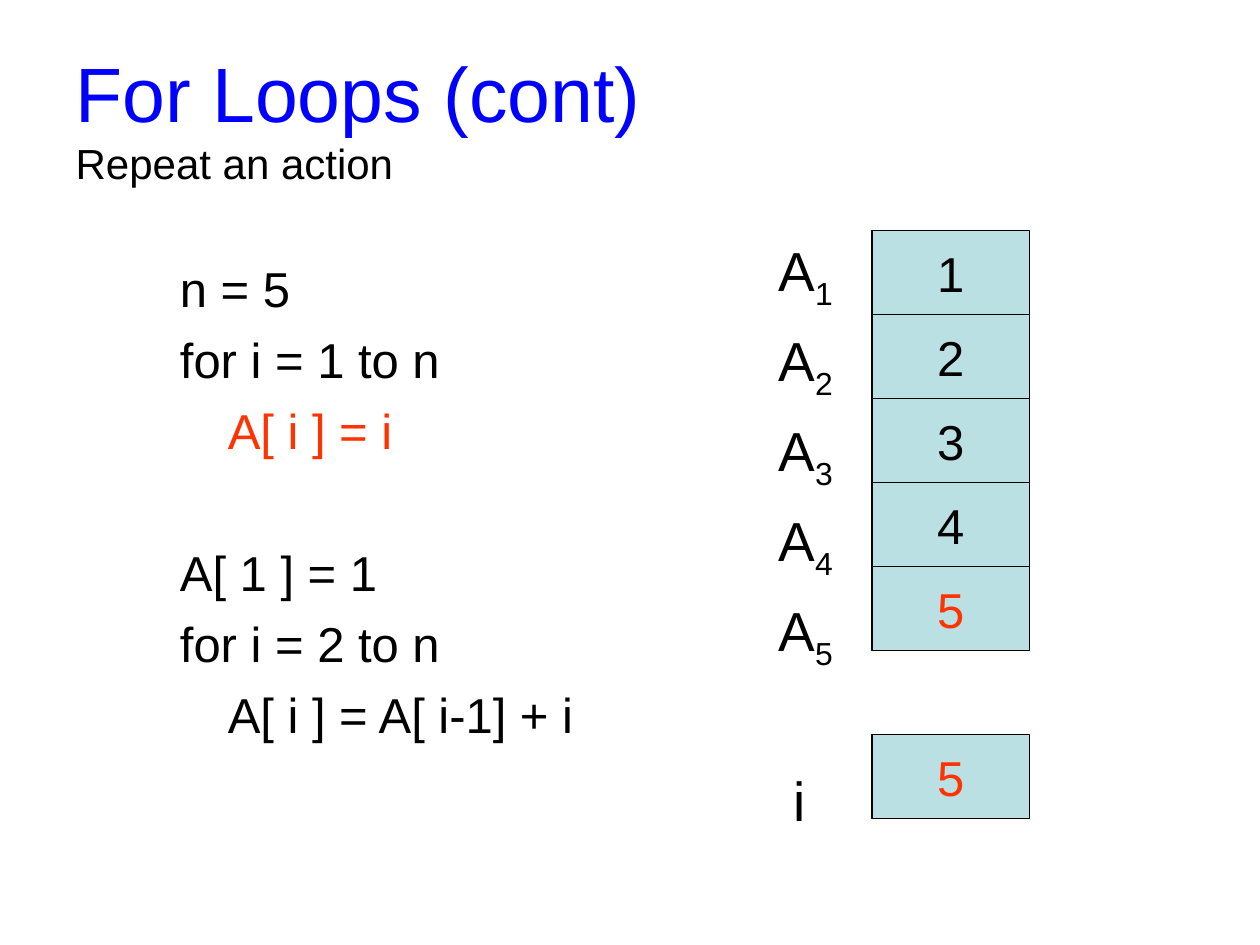
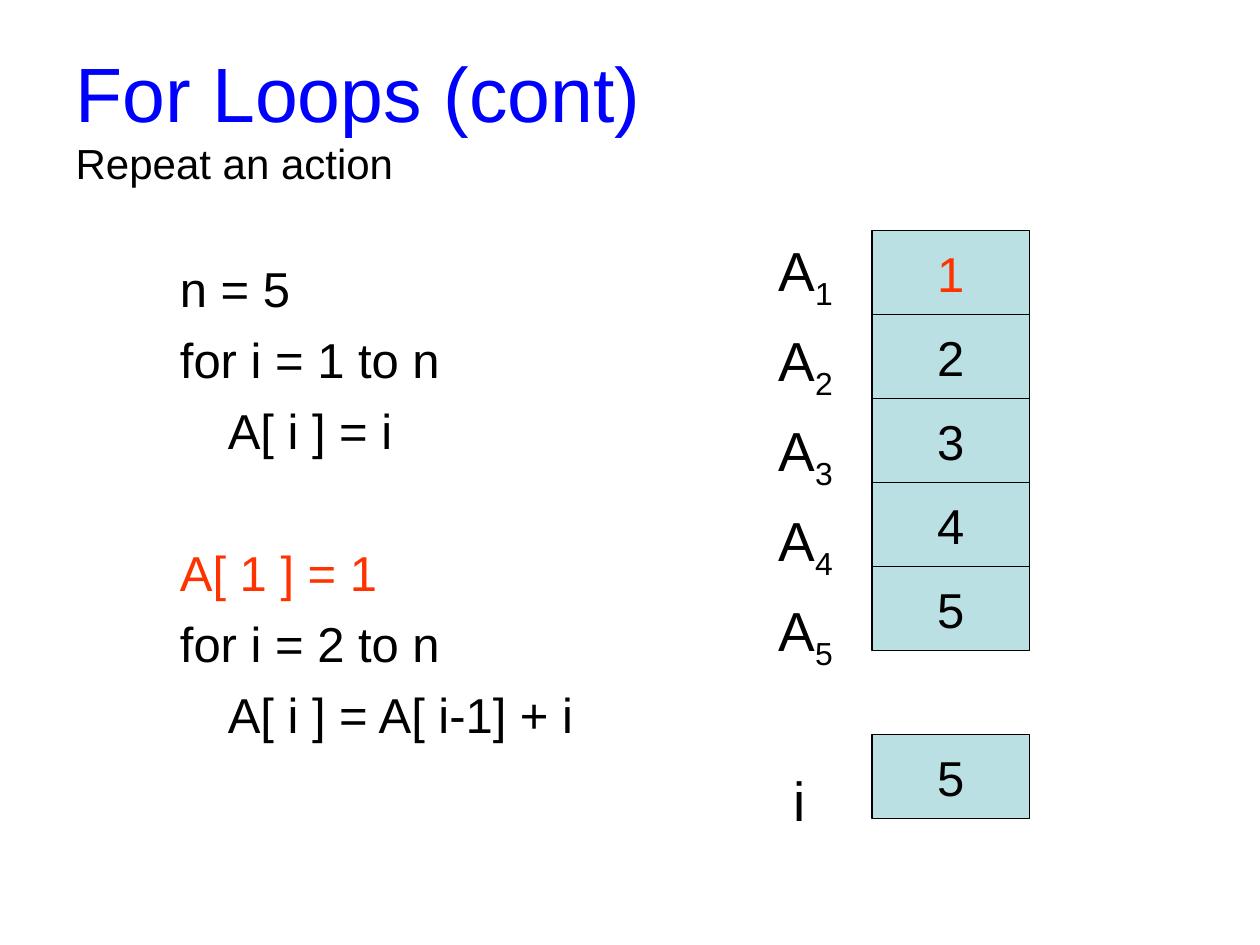
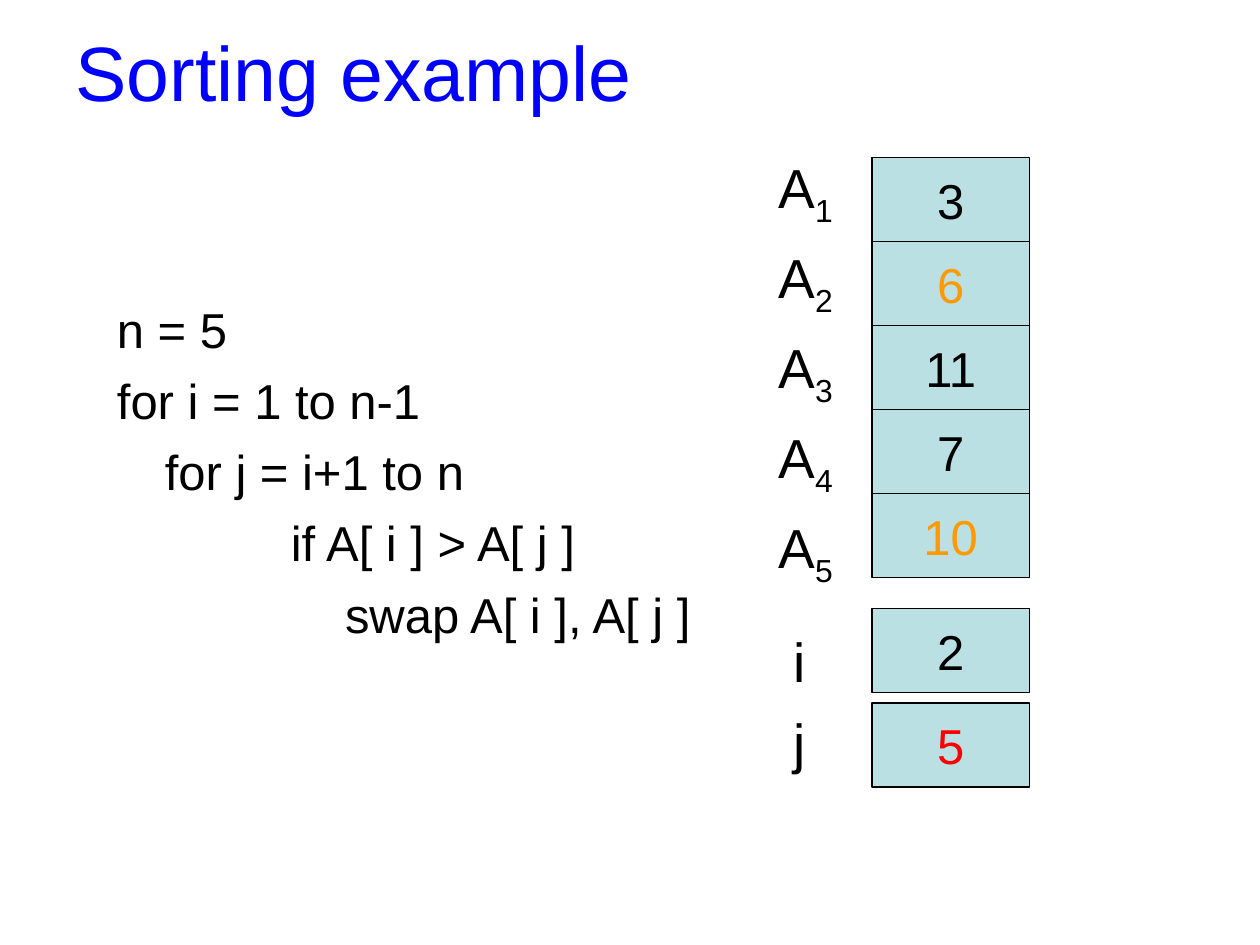
"""Build three slides that trace loops over an array beside their pseudocode."""
from dataclasses import dataclass, field
from typing import NamedTuple

from pptx import Presentation
from pptx.dml.color import RGBColor
from pptx.enum.shapes import MSO_SHAPE
from pptx.enum.text import MSO_ANCHOR, MSO_AUTO_SIZE, PP_ALIGN
from pptx.util import Inches, Pt

RECT = MSO_SHAPE.RECTANGLE
MIDDLE = MSO_ANCHOR.MIDDLE
NO_FIT = MSO_AUTO_SIZE.NONE
LEFT, CENTER = PP_ALIGN.LEFT, PP_ALIGN.CENTER

BLACK = RGBColor(0x00, 0x00, 0x00)
BLUE = RGBColor(0x00, 0x00, 0xFF)
RED = RGBColor(0xFF, 0x00, 0x00)
VERMILION = RGBColor(0xFF, 0x33, 0x00)
ORANGE = RGBColor(0xFF, 0x99, 0x00)
PALE_TEAL = RGBColor(0xBB, 0xE0, 0xE3)

FONT = "Arial"
TITLE_SIZE, SUBTITLE_SIZE, CODE_SIZE, LABEL_SIZE = 44, 24, 28, 31.4
CODE_GAP, LABEL_GAP = 7, 8.5
CELL_LEFT, CELL_WIDTH, CELL_HEIGHT = 6.92, 1.25, 2 / 3
LABEL_LEFT, LABEL_INDENT = 6.08, 0.12


class Box(NamedTuple):
    """Left, top, width and height in inches."""
    left: float
    top: float
    width: float
    height: float


class CodeLine(NamedTuple):
    """A line of pseudocode, its indent in inches and the space before it."""
    text: str
    indent: float = 0
    gap: float = CODE_GAP


class Cell(NamedTuple):
    """The value in a memory cell and its colour."""
    value: str
    color: RGBColor = BLACK


class Variable(NamedTuple):
    """A loop variable with its cell, cell top and space before its label."""
    name: str
    cell: Cell
    top: float
    gap: float = LABEL_GAP


@dataclass
class LoopSlide:
    """Everything that differs between the slides."""
    title: str
    code: list[CodeLine]
    code_box: Box
    array: list[Cell]
    array_top: float
    labels_top: float
    variables: list[Variable]
    subtitle: str = ""
    active: int | None = None


TITLE_BOX = Box(0.5, 0.3, 9, 1.25)
LOOP_BOX = Box(1.33, 2, 4.08, 5.17)
LOOP_CODE = [
    CodeLine("n = 5"),
    CodeLine("for i = 1 to n"),
    CodeLine("A[ i ] = i", 0.38),
    CodeLine("A[ 1 ] = 1", gap=47.5),
    CodeLine("for i = 2 to n"),
    CodeLine("A[ i ] = A[ i-1] + i", 0.38),
]
SORT_CODE = [
    CodeLine("n = 5"),
    CodeLine("for i = 1 to n-1"),
    CodeLine("for j = i+1 to n", 0.38),
    CodeLine("if A[ i ] > A[ j ]", 1.38),
    CodeLine("swap A[ i ], A[ j ]", 1.81),
]


def loop_slide(active: int, array: list[Cell], i: Cell) -> LoopSlide:
    """Describe one step of the loop example."""
    return LoopSlide("For Loops (cont)", LOOP_CODE, LOOP_BOX, array, 1.83, 1.83,
                     [Variable("i", i, 5.83, 54.2)], "Repeat an action", active)


SLIDES = [
    loop_slide(2, [Cell(v) for v in "1234"] + [Cell("5", VERMILION)], Cell("5", VERMILION)),
    loop_slide(3, [Cell("1", VERMILION)] + [Cell(v) for v in "2345"], Cell("5")),
    LoopSlide("Sorting example", SORT_CODE, Box(0.83, 2.33, 4.92, 5.17),
              [Cell("3"), Cell("6", ORANGE), Cell("11"), Cell("7"), Cell("10", ORANGE)],
              1.25, 1.17,
              [Variable("i", Cell("2"), 4.83, 22.2), Variable("j", Cell("5", RED), 5.58)]),
]


def inches(box: Box) -> list[int]:
    """Convert a box to lengths."""
    return [Inches(v) for v in box]


def add_run(p, text: str, size: float, color: RGBColor = BLACK):
    """Append a formatted run to a paragraph."""
    r = p.add_run()
    r.text = text
    for name, value in {"name": FONT, "size": Pt(size)}.items():
        setattr(r.font, name, value)
    r.font.color.rgb = color
    return r


def add_paragraph(tf, first: bool, gap: float, indent: float = 0):
    """Start a paragraph, with space before it unless it is the first."""
    p = tf.paragraphs[0] if first else tf.add_paragraph()
    p.space_before = Pt(0 if first else gap)
    p._p.get_or_add_pPr().set("marL", str(Inches(indent)))
    return p


def add_text_frame(s, box: Box):
    """Add a wrapping text box and return its frame."""
    tf = s.shapes.add_textbox(*inches(box)).text_frame
    tf.word_wrap = True
    return tf


def draw_title(s, title: str, subtitle: str) -> None:
    """Place the title, with the second line kept for a subtitle."""
    sp = s.shapes.title
    for name, value in zip(("left", "top", "width", "height"), inches(TITLE_BOX)):
        setattr(sp, name, value)
    tf = sp.text_frame
    for name, value in {"auto_size": NO_FIT, "vertical_anchor": MIDDLE}.items():
        setattr(tf, name, value)
    p = tf.paragraphs[0]
    p.alignment = LEFT
    p.font.size = Pt(TITLE_SIZE)
    add_run(p, title, TITLE_SIZE, BLUE)
    p.add_line_break()
    if subtitle:
        add_run(p, subtitle, SUBTITLE_SIZE)


def draw_code(s, slide: LoopSlide) -> None:
    """Write the pseudocode and highlight the active line."""
    tf = add_text_frame(s, slide.code_box)
    for n, line in enumerate(slide.code):
        p = add_paragraph(tf, n == 0, line.gap, line.indent)
        add_run(p, line.text, CODE_SIZE, VERMILION if n == slide.active else BLACK)


def draw_labels(s, slide: LoopSlide) -> None:
    """Name the array elements and the loop variables."""
    tf = add_text_frame(s, Box(LABEL_LEFT, slide.labels_top, 3.5, 5.08))
    for n in range(len(slide.array)):
        p = add_paragraph(tf, n == 0, LABEL_GAP)
        add_run(p, "A", LABEL_SIZE)
        r = add_run(p, str(n + 1), LABEL_SIZE)
        r._r.get_or_add_rPr().set("baseline", "-25000")
    for variable in slide.variables:
        p = add_paragraph(tf, False, variable.gap, LABEL_INDENT)
        add_run(p, variable.name, LABEL_SIZE)


def draw_cell(s, cell: Cell, top: float) -> None:
    """Draw a memory cell with its value."""
    sp = s.shapes.add_shape(RECT, *inches(Box(CELL_LEFT, top, CELL_WIDTH, CELL_HEIGHT)))
    sp.shadow.inherit = False
    sp.fill.solid()
    sp.fill.fore_color.rgb = PALE_TEAL
    sp.line.color.rgb = BLACK
    sp.line.width = Pt(0.75)
    tf = sp.text_frame
    for name, value in {"word_wrap": False, "vertical_anchor": MIDDLE}.items():
        setattr(tf, name, value)
    p = tf.paragraphs[0]
    p.alignment = CENTER
    add_run(p, cell.value, CODE_SIZE, cell.color)


def draw_slide(prs, slide: LoopSlide) -> None:
    """Add one slide with its title, code, labels and cells."""
    s = prs.slides.add_slide(prs.slide_layouts.get_by_name("Title Only"))
    draw_title(s, slide.title, slide.subtitle)
    draw_code(s, slide)
    draw_labels(s, slide)
    for variable in slide.variables:
        draw_cell(s, variable.cell, variable.top)
    for n, cell in enumerate(slide.array):
        draw_cell(s, cell, slide.array_top + n * CELL_HEIGHT)


def main() -> None:
    """Build and save the presentation."""
    prs = Presentation()
    prs.slide_width, prs.slide_height = Inches(10), Inches(7.5)
    for slide in SLIDES:
        draw_slide(prs, slide)
    prs.save("out.pptx")


if __name__ == "__main__":
    main()
